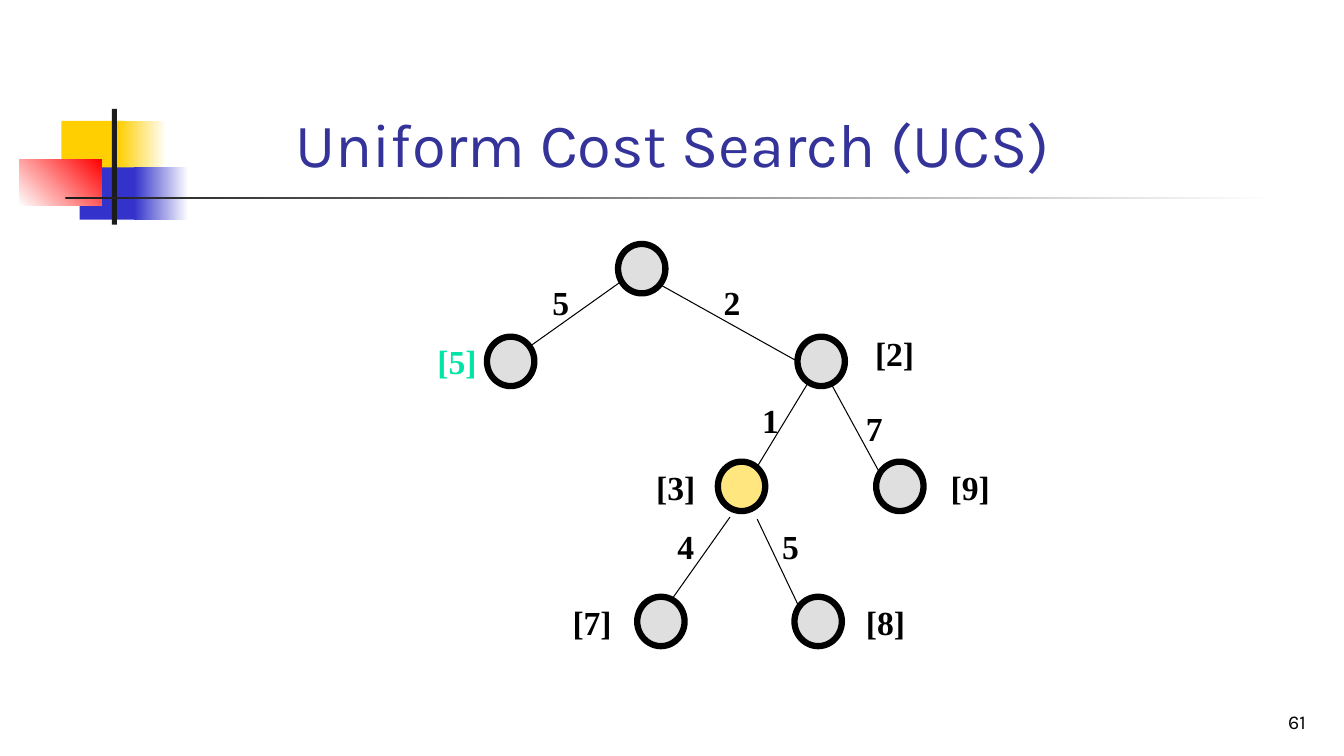
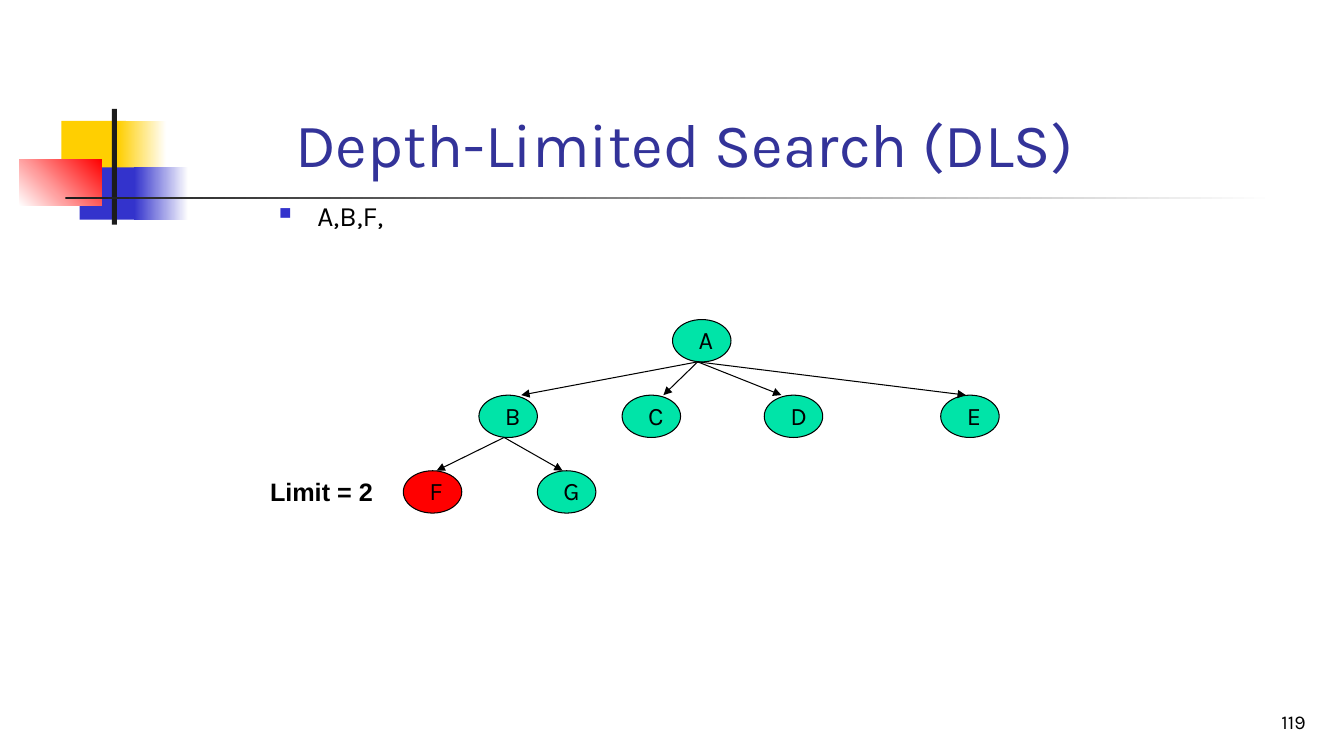
from lxml.etree import SubElement
from pptx import Presentation
from pptx.dml.color import RGBColor
from pptx.enum.shapes import MSO_CONNECTOR, MSO_SHAPE
from pptx.enum.text import MSO_ANCHOR, MSO_AUTO_SIZE, PP_ALIGN
from pptx.oxml.ns import qn
from pptx.util import Inches, Pt

BLACK = RGBColor(0x00, 0x00, 0x00)
WHITE = RGBColor(0xFF, 0xFF, 0xFF)
INK = RGBColor(0x1C, 0x1C, 0x1C)
YELLOW = RGBColor(0xFF, 0xCF, 0x01)
BLUE = RGBColor(0x33, 0x33, 0xCC)
NAVY = RGBColor(0x33, 0x33, 0x99)
RED = RGBColor(0xFF, 0x00, 0x00)
GREY = RGBColor(0xC0, 0xC0, 0xC0)
GREEN = RGBColor(0x00, 0xE4, 0xA8)

BODY_FONT = "Karla"
COST_FONT = "Times New Roman"
LIMIT_FONT = "Arial"

# Place, colours (two make a gradient) and gradient angle
BANDS = [
    ((0.61, 1.2, 0.64, 0.52), (YELLOW,), 0),
    ((1.17, 1.2, 0.48, 0.52), (YELLOW, WHITE), 0),
    ((0.79, 1.66, 0.62, 0.52), (BLUE,), 0),
    ((1.33, 1.66, 0.54, 0.52), (BLUE, WHITE), 0),
    ((0.19, 1.58, 0.82, 0.46), (WHITE, RED), 45),
    ((1.11, 1.08, 0.05, 1.15), (INK,), 0),
    ((0.65, 1.95, 12, 0.03), (INK, WHITE), 0),
]


class TreeDeck:
    def __init__(self):
        self.deck = Presentation()
        self.deck.slide_width = Inches(13.33)
        self.deck.slide_height = Inches(7.5)
        self.slide = None

    def page(self, title, number):
        """Start a slide with the shared bands, number and title."""
        self.slide = self.deck.slides.add_slide(self.deck.slide_layouts[6])
        for place, colors, angle in BANDS:
            self.band(place, colors, angle)
        self.text(number, (10.27, 6.83, 2.78, 0.5), 14,
                  anchor=MSO_ANCHOR.BOTTOM, align=PP_ALIGN.RIGHT)
        self.text(title, (2.83, 0.58, 8.5, 1.25), 44, color=NAVY,
                  anchor=MSO_ANCHOR.BOTTOM)

    def shape(self, kind, place):
        shape = self.slide.shapes.add_shape(kind, *map(Inches, place))
        shape.shadow.inherit = False
        return shape

    def band(self, place, colors, angle):
        band = self.shape(MSO_SHAPE.RECTANGLE, place)
        band.line.fill.background()
        if len(colors) == 1:
            band.fill.solid()
            band.fill.fore_color.rgb = colors[0]
            return
        band.fill.gradient()
        band.fill.gradient_angle = angle
        for stop, color, position in zip(band.fill.gradient_stops, colors, (0, 1)):
            stop.color.rgb = color
            stop.position = position

    def node(self, place, color, line_width, opacity=100):
        node = self.shape(MSO_SHAPE.OVAL, place)
        node.fill.solid()
        node.fill.fore_color.rgb = color
        node.line.color.rgb = BLACK
        node.line.width = Pt(line_width)
        if opacity < 100:
            color_xml = node._element.spPr.find(qn("a:solidFill"))[0]
            SubElement(color_xml, qn("a:alpha"), val=str(opacity * 1000))

    def edge(self, start, end, arrow=False):
        edge = self.slide.shapes.add_connector(
            MSO_CONNECTOR.STRAIGHT, *map(Inches, start + end))
        edge.line.color.rgb = BLACK
        edge.line.width = Pt(0.75)
        if arrow:
            SubElement(edge.line._get_or_add_ln(), qn("a:tailEnd"), type="triangle")
        SubElement(edge._element.spPr, qn("a:effectLst"))

    def text(self, words, place, size, font=BODY_FONT, color=BLACK, bold=False,
             wrap=True, anchor=MSO_ANCHOR.TOP, align=PP_ALIGN.LEFT):
        box = self.slide.shapes.add_textbox(*map(Inches, place))
        frame = box.text_frame
        frame.text = words
        frame.word_wrap = wrap
        frame.auto_size = MSO_AUTO_SIZE.NONE if wrap else MSO_AUTO_SIZE.SHAPE_TO_FIT_TEXT
        frame.vertical_anchor = anchor
        para = frame.paragraphs[0]
        para.alignment = align
        span = para.runs[0]
        span.font.name = font
        span.font.size = Pt(size)
        span.font.bold = bold
        span.font.color.rgb = color
        return para

    def bullet(self, words, place):
        para = self.text(words, place, 20)
        properties = para._p.get_or_add_pPr()
        indent = Inches(0.38)
        properties.set("marL", str(indent))
        properties.set("indent", str(-indent))
        bullet_color = SubElement(properties, qn("a:buClr"))
        SubElement(bullet_color, qn("a:srgbClr"), val=str(BLUE))
        SubElement(properties, qn("a:buSzPct"), val="60000")
        SubElement(properties, qn("a:buChar"), char="■")

    def cost(self, words, left, top, color=BLACK):
        width = 0.37 if len(words) == 1 else 0.59
        self.text(words, (left, top, width, 0.5), 24, COST_FONT, color,
                  bold=True, wrap=False)


def uniform_cost(deck):
    deck.page("Uniform Cost Search (UCS)", "61")
    nodes = [(6.13, 2.42, GREY), (4.83, 3.34, GREY), (7.91, 3.34, GREY),
             (8.69, 4.58, GREY), (7.12, 4.58, YELLOW),
             (7.88, 5.92, GREY), (6.32, 5.92, GREY)]
    for left, top, color in nodes:
        deck.node((left, top, 0.47, 0.49), color, 4.5, opacity=50)

    edges = [((6.15, 2.8), (5.25, 3.44)), ((6.54, 2.82), (7.9, 3.58)),
             ((8.02, 3.79), (7.51, 4.63)), ((8.25, 3.82), (8.73, 4.7)),
             ((7.24, 5.13), (6.66, 5.95)), ((7.51, 5.15), (7.92, 6.01))]
    for start, end in edges:
        deck.edge(start, end)

    step_costs = [("2", 7.08, 2.75), ("5", 5.38, 2.75), ("1", 7.46, 3.92),
                  ("7", 8.49, 4), ("4", 6.62, 5.17), ("5", 7.66, 5.17)]
    total_costs = [("[2]", 8.58, 3.25), ("[9]", 9.33, 4.58), ("[3]", 6.41, 4.58),
                   ("[7]", 5.58, 5.92), ("[8]", 8.49, 5.92)]
    for words, left, top in step_costs + total_costs:
        deck.cost(words, left, top)
    deck.cost("[5]", 4.24, 3.33, GREEN)


def depth_limited(deck):
    deck.page("Depth-Limited Search (DLS)", "119")
    deck.bullet("A,B,F,", (2.67, 1.92, 8.5, 0.92))
    first_top, level_gap, height = 3.17, 0.75, 0.42
    levels = [[("A", 6.67)],
              [("B", 4.75), ("C", 6.17), ("D", 7.58), ("E", 9.33)],
              [("F", 4), ("G", 5.33)]]
    for depth, level in enumerate(levels):
        top = first_top + depth * level_gap
        for name, left in level:
            color = RED if name == "F" else GREEN
            deck.node((left, top, 0.58, height), color, 0.75)
            deck.text(name, (left + 0.16, top, height, 0.4), 18)

    # Each parent's arrow start, and the arrow tips on the level below
    branches = [(6.92, (5.17, 6.58, 7.75, 9.58)), (5, (4.33, 5.58))]
    for depth, (start, tips) in enumerate(branches):
        top = first_top + depth * level_gap
        for tip in tips:
            deck.edge((start, top + height), (tip, top + level_gap), arrow=True)
    deck.text("Limit = 2", (2.58, 4.68, 1.33, 0.4), 18, LIMIT_FONT, bold=True)


def main():
    deck = TreeDeck()
    uniform_cost(deck)
    depth_limited(deck)
    deck.deck.save("out.pptx")


if __name__ == "__main__":
    main()
